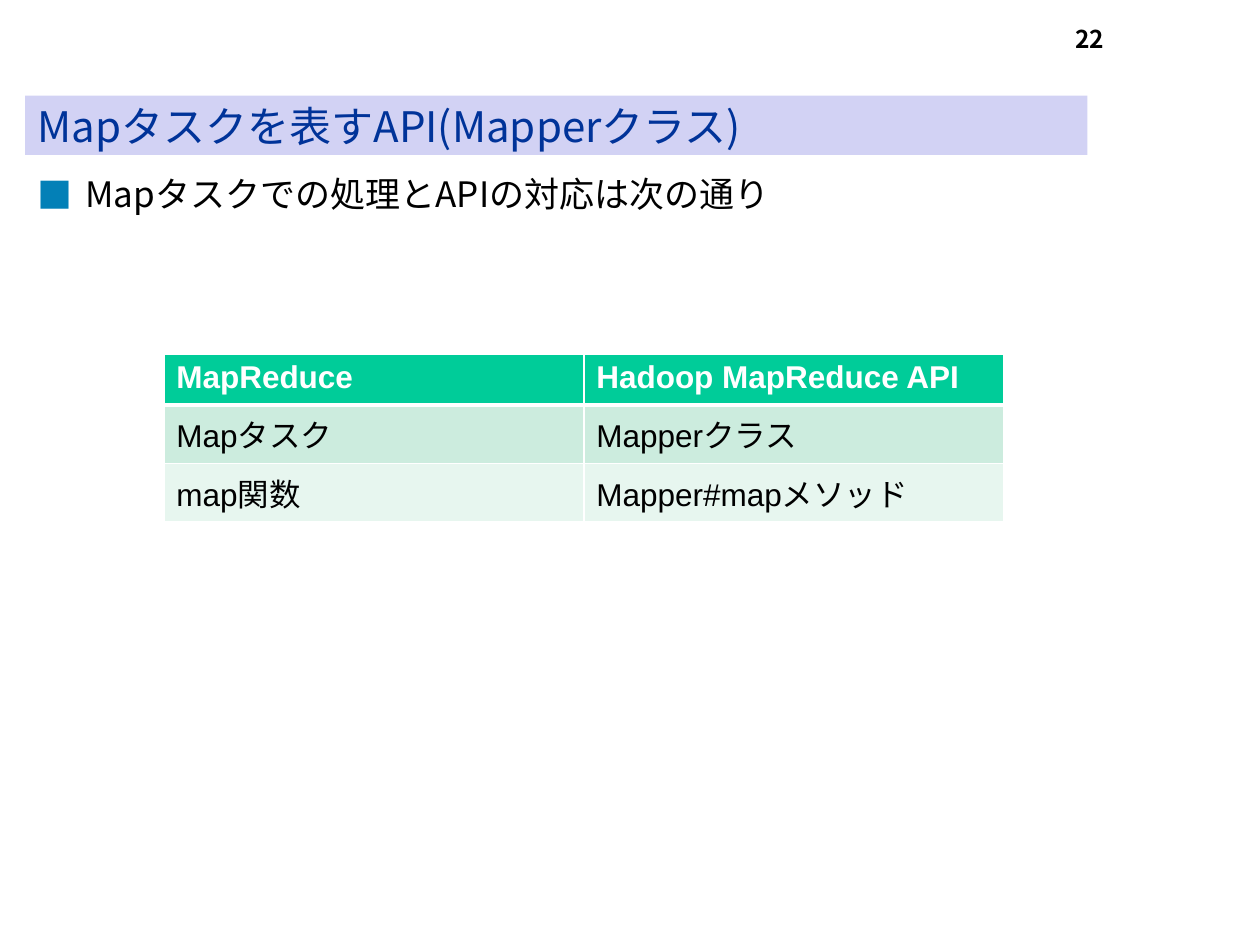
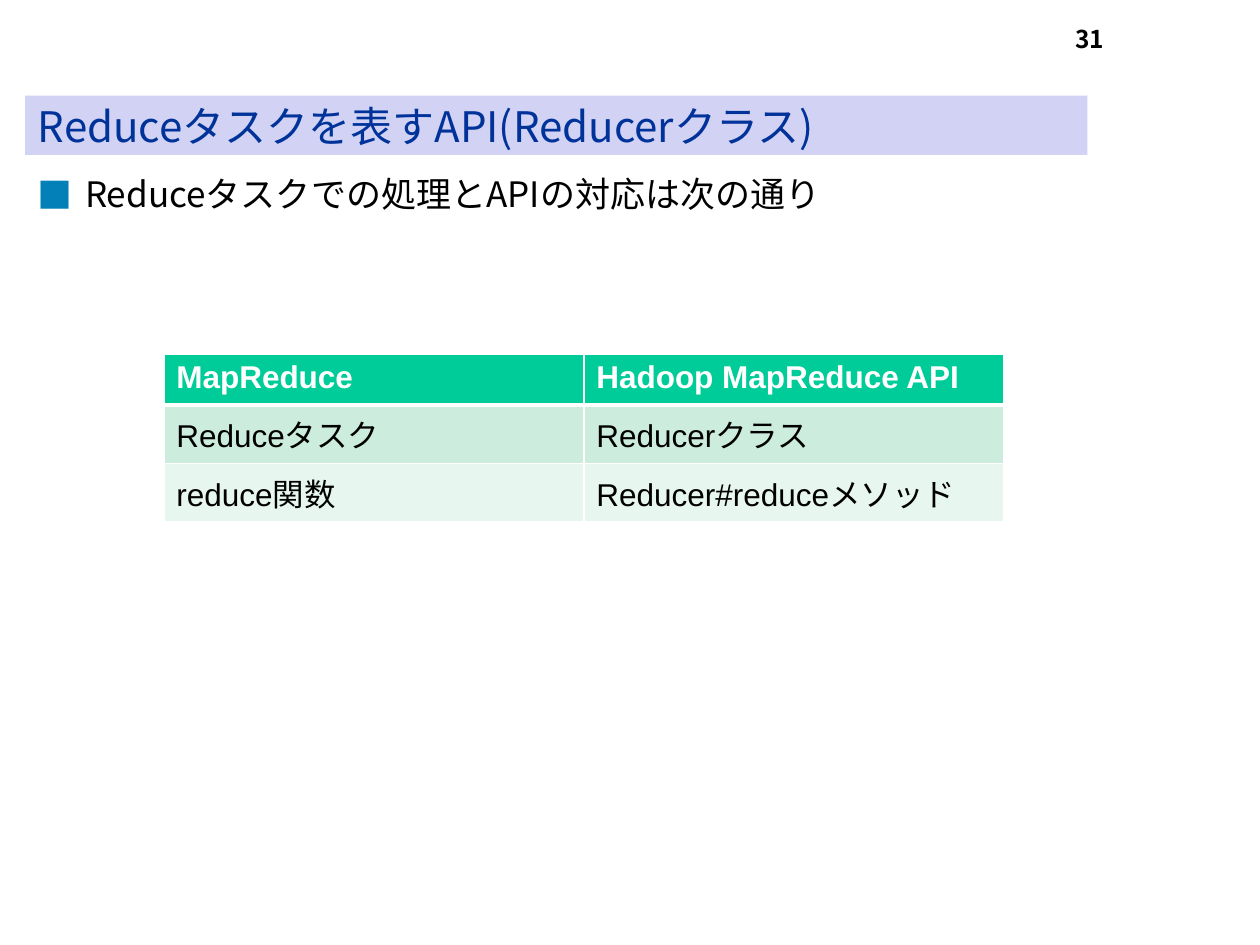
"""Builds two slides that map MapReduce tasks to their Hadoop API classes."""
from lxml.etree import SubElement
from pptx import Presentation
from pptx.dml.color import RGBColor
from pptx.enum.text import MSO_ANCHOR, MSO_AUTO_SIZE, PP_ALIGN
from pptx.oxml.ns import qn
from pptx.util import Pt

JAPANESE_FONT = "Noto Sans CJK JP"
TABLE_FONT = "Arial"
WHITE, BLACK = "FFFFFF", "000000"
TITLE_BLUE, TITLE_BAND, BULLET_BLUE = "003399", "D2D2F4", "0380B7"
ROW_FILLS = ["00CC99", "CCECDE", "E7F6EF"]

SLIDES = [
    ("22", "Mapタスクを表すAPI(Mapperクラス)", "Mapタスクでの処理とAPIの対応は次の通り",
     [("Mapタスク", "Mapperクラス"), ("map関数", "Mapper#mapメソッド")]),
    ("31", "Reduceタスクを表すAPI(Reducerクラス)", "Reduceタスクでの処理とAPIの対応は次の通り",
     [("Reduceタスク", "Reducerクラス"), ("reduce関数", "Reducer#reduceメソッド")]),
]
TABLE_HEADER = ("MapReduce", "Hadoop MapReduce API")


def rgb(color):
    return RGBColor.from_string(color)


def write(shape, text, size, color, font_name=JAPANESE_FONT, bold=False, align=PP_ALIGN.LEFT):
    paragraph = shape.text_frame.paragraphs[0]
    paragraph.alignment = align
    paragraph.space_before = Pt(0)
    run = paragraph.add_run()
    run.text = text
    run.font.size = Pt(size)
    run.font.bold = bold
    run.font.name = font_name
    run.font.color.rgb = rgb(color)
    SubElement(run.font._element, qn("a:ea"), typeface=JAPANESE_FONT)
    return paragraph


presentation = Presentation()
presentation.slide_width, presentation.slide_height = Pt(720), Pt(540)

for number, title_text, body_text, table_rows in SLIDES:
    slide = presentation.slides.add_slide(presentation.slide_layouts[1])

    title = slide.shapes.title
    title.left, title.top, title.width, title.height = Pt(14.4), Pt(54.7), Pt(607), Pt(33.8)
    title.fill.solid()
    title.fill.fore_color.rgb = rgb(TITLE_BAND)
    title.text_frame.auto_size = MSO_AUTO_SIZE.NONE
    title.text_frame.vertical_anchor = MSO_ANCHOR.MIDDLE
    title.text_frame.margin_top = title.text_frame.margin_bottom = 0
    write(title, title_text, 24, TITLE_BLUE)

    body = slide.placeholders[1]
    body.left, body.top, body.width, body.height = Pt(14.4), Pt(95), Pt(692), Pt(50.4)
    body.text_frame.auto_size = MSO_AUTO_SIZE.NONE
    paragraph = write(body, body_text, 20, BLACK)
    properties = paragraph._p.get_or_add_pPr()
    properties.set("marL", str(Pt(27)))
    properties.set("indent", str(Pt(-27)))
    bullet_color = SubElement(properties, qn("a:buClr"))
    SubElement(bullet_color, qn("a:srgbClr"), val=BULLET_BLUE)
    SubElement(properties, qn("a:buFont"), typeface=JAPANESE_FONT)
    SubElement(properties, qn("a:buChar"), char="■")

    rows = [TABLE_HEADER, *table_rows]
    table = slide.shapes.add_table(len(rows), 2, Pt(93.6), Pt(202.3), Pt(480), Pt(87.6)).table
    for row_index, row in enumerate(rows):
        is_header = row_index == 0
        for column_index, text in enumerate(row):
            cell = table.cell(row_index, column_index)
            write(cell, text, 18, WHITE if is_header else BLACK, TABLE_FONT, is_header)
            border_widths = {"L": 1, "R": 1, "T": 3 if row_index == 1 else 1, "B": 3 if is_header else 1}
            for side, width in border_widths.items():
                border = SubElement(cell._tc.get_or_add_tcPr(), qn(f"a:ln{side}"), w=str(Pt(width)))
                border_fill = SubElement(border, qn("a:solidFill"))
                SubElement(border_fill, qn("a:srgbClr"), val=WHITE)
            cell.fill.solid()
            cell.fill.fore_color.rgb = rgb(ROW_FILLS[row_index])

    page_number = slide.shapes.add_textbox(Pt(488.2), Pt(10), Pt(149.8), Pt(36))
    page_number.text_frame.word_wrap = True
    write(page_number, number, 14, BLACK, bold=True, align=PP_ALIGN.RIGHT)

presentation.save("out.pptx")
